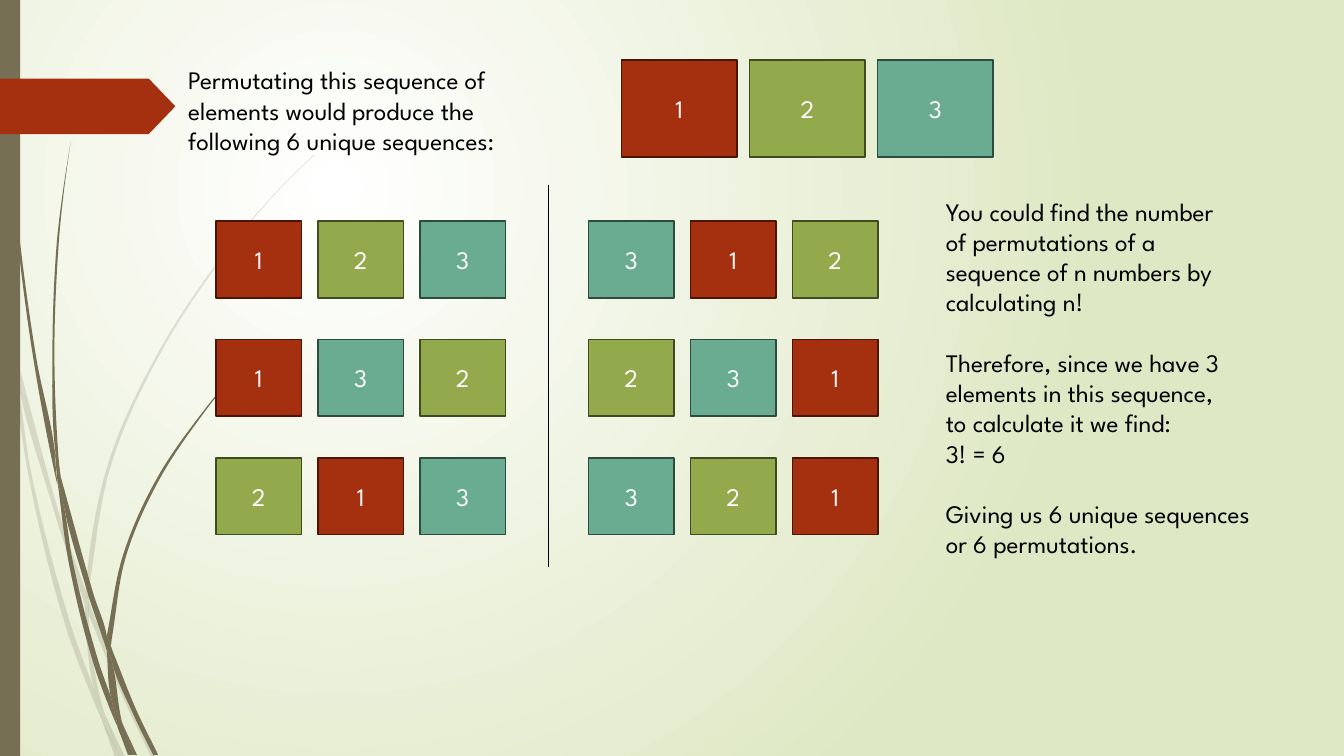
from math import hypot
from lxml.etree import SubElement
from pptx import Presentation
from pptx.dml.color import RGBColor
from pptx.enum.shapes import MSO_CONNECTOR, MSO_SHAPE
from pptx.enum.text import MSO_ANCHOR, PP_ALIGN
from pptx.oxml.ns import qn
from pptx.util import Cm, Pt

FONT = "League Spartan"
COLORS = {"white": "FFFFFF", "black": "000000", "meadow": "DFE8C4",
          "stem": "766F54", "red": "A53010", "red_edge": "481507",
          "green": "92AA4C", "green_edge": "404B21",
          "teal": "6AAC91", "teal_edge": "2E4B40"}
TILE_COLORS = {1: "red", 2: "green", 3: "teal"}

# Outlines of the grass blades, on a grid of 100 units to 2.54 cm.
GRID = 2.54 / 100
PALE_BLADES = [
    [(11, 350), (9, 322), (0, 282), (0, 299), (10, 344)],
    [(58, 522), (84, 599), (85, 586), (62, 520), (14, 345), (17, 376)],
    [(92, 607), (88, 596), (88, 610), (123, 694), (150, 751), (155, 751), (127, 692)],
    [(119, 751), (124, 751), (105, 711)],
    [(93, 683), (70, 619), (31, 469), (17, 376), (11, 350), (28, 470), (65, 621),
     (92, 693), (101, 714), (99, 707)],
    [(84, 599), (87, 646), (93, 683), (96, 692), (105, 711), (103, 706), (91, 646),
     (88, 610), (88, 608)],
    [(88, 584), (110, 462), (160, 349), (229, 245), (268, 198), (290, 175), (312, 154),
     (312, 153), (289, 175), (268, 197), (228, 244), (158, 348), (107, 461), (85, 584),
     (85, 586), (88, 596)],
    [(101, 714), (114, 751), (119, 751)],
    [(88, 608), (88, 610), (88, 596), (85, 586), (84, 599)],
    [(96, 692), (93, 683), (99, 707), (101, 714), (119, 751), (105, 711)],
]
DARK_BLADES = [
    [(7, 110), (17, 233), (33, 355), (56, 477), (57, 481), (55, 457), (55, 453), (36, 355),
     (19, 232), (8, 109), (5, 48), (4, 0), (3, 0), (4, 48)],
    [(88, 592), (106, 645), (106, 633), (106, 631), (93, 590), (60, 472), (64, 505)],
    [(113, 649), (110, 641), (111, 656), (132, 708), (152, 749), (157, 749), (136, 706)],
    [(110, 691), (98, 657), (72, 556), (64, 505), (57, 477), (68, 557), (93, 659),
     (111, 708), (117, 722), (116, 717)],
    [(60, 472), (58, 453), (54, 349), (58, 245), (63, 193), (70, 141), (62, 193),
     (56, 245), (52, 349), (55, 449)],
    [(133, 749), (136, 749), (122, 719)],
    [(57, 477), (64, 505), (60, 472), (55, 449), (55, 453)],
    [(111, 633), (125, 552), (158, 476), (205, 406), (231, 374), (245, 359), (261, 344),
     (260, 344), (245, 358), (231, 373), (204, 405), (156, 474), (122, 551), (106, 631),
     (110, 641)],
    [(117, 722), (127, 749), (131, 749)],
    [(106, 645), (110, 691), (116, 706), (122, 719), (121, 716), (111, 656), (109, 651)],
    [(106, 645), (109, 651), (111, 656), (110, 641), (106, 631), (106, 633)],
    [(116, 706), (110, 691), (116, 717), (117, 722), (130, 749), (133, 749), (122, 719)],
]


def color(name):
    """Return the named colour."""
    return RGBColor.from_string(COLORS[name])


def write(paragraph, text, size=18, ink="black", align=PP_ALIGN.LEFT, before=0):
    """Put formatted text into a paragraph."""
    paragraph.alignment = align
    paragraph.space_before = Pt(before)
    run = paragraph.add_run()
    run.text = text
    run.font.name, run.font.size = FONT, Pt(size)
    run.font.color.rgb = color(ink)


def paint(shape, fill, edge=None):
    """Give a shape a plain fill and an optional outline, without shadow."""
    shape.shadow.inherit = False
    shape.fill.solid()
    shape.fill.fore_color.rgb = color(fill)
    if edge:
        shape.line.color.rgb = color(edge)
        shape.line.width = Pt(1.25)
    else:
        shape.line.fill.background()


def place(shape, box):
    """Move a placeholder to a box given in centimetres."""
    shape.left, shape.top, shape.width, shape.height = map(Cm, box)
    shape.text_frame.word_wrap = True


def add_box(slide, preset, box, fill, edge=None):
    """Add a painted preset shape in a box given in centimetres."""
    shape = slide.shapes.add_shape(preset, *map(Cm, box))
    paint(shape, fill, edge)
    return shape


def direction(start, end):
    """Return the unit vector from start to end."""
    dx, dy = end[0] - start[0], end[1] - start[1]
    length = hypot(dx, dy) or 1
    return dx / length, dy / length


def bend(shape):
    """Turn the straight edges of a freeform into curves, keeping sharp corners."""
    outline = shape.element.find(".//" + qn("a:path"))
    points = [(int(pt.get("x")), int(pt.get("y"))) for pt in outline.iter(qn("a:pt"))]
    count = len(points)

    def tangent(index, edge):
        before = direction(points[index - 1], points[index])
        after = direction(points[index], points[(index + 1) % count])
        is_smooth = before[0] * after[0] + before[1] * after[1] > 0.94
        return direction((0, 0), (before[0] + after[0], before[1] + after[1])) if is_smooth else edge

    for index, segment in enumerate(outline.findall(qn("a:lnTo"))):
        start, end = points[index], points[index + 1]
        edge = direction(start, end)
        third = hypot(end[0] - start[0], end[1] - start[1]) / 3
        controls = [(point[0] + sign * third * slope[0], point[1] + sign * third * slope[1])
                    for point, sign, slope in ((start, 1, tangent(index, edge)),
                                               (end, -1, tangent(index + 1, edge)))]
        segment.tag = qn("a:cubicBezTo")
        for position, (x, y) in enumerate(controls):
            pt = SubElement(segment, qn("a:pt"), x=str(round(x)), y=str(round(y)))
            segment.insert(position, pt)


def add_blade(slide, origin, points, transparent):
    """Draw one piece of grass relative to the origin."""
    outline = [(Cm(origin[0] + x * GRID), Cm(origin[1] + y * GRID)) for x, y in points]
    builder = slide.shapes.build_freeform(*outline[0])
    builder.add_line_segments(outline[1:] + outline[:1], close=True)
    shape = builder.convert_to_shape()
    paint(shape, "stem")
    if transparent:
        SubElement(shape.element.find(".//" + qn("a:srgbClr")), qn("a:alpha"), val="20000")
    return shape


def add_backdrop(slide, box):
    """Set the radial background and draw grass, side bar and arrow tag."""
    left, top, _, height = box
    fill = slide.background.fill
    fill.gradient()
    for stop, name in zip(fill.gradient_stops, ("white", "meadow")):
        stop.color.rgb = color(name)
    gradient = slide.element.find(".//" + qn("a:gradFill"))
    gradient.remove(gradient.find(qn("a:lin")))
    circle = SubElement(gradient, qn("a:path"), path="circle")
    SubElement(circle, qn("a:fillToRect"), l="50000", t="50000", r="100000", b="100000")
    for blades, transparent in ((PALE_BLADES, True), (DARK_BLADES, False)):
        for points in blades:
            bend(add_blade(slide, (left, top), points, transparent))
    add_box(slide, MSO_SHAPE.RECTANGLE, (left, top, 0.51, height), "stem")
    tag = add_box(slide, MSO_SHAPE.PENTAGON, (left, top + 1.98, 4.42, 1.4), "red")
    tag.adjustments[0] = 0.48


def add_tile_row(slide, box, digits, gap):
    """Fill a box with one row of equally spaced numbered tiles."""
    left, top, width, height = box
    tile_width = (width - gap * (len(digits) - 1)) / len(digits)
    for index, digit in enumerate(digits):
        name = TILE_COLORS[digit]
        tile_box = (left + index * (tile_width + gap), top, tile_width, height)
        tile = add_box(slide, MSO_SHAPE.RECTANGLE, tile_box, name, name + "_edge")
        tile.text_frame.vertical_anchor = MSO_ANCHOR.MIDDLE
        write(tile.text_frame.paragraphs[0], str(digit), ink="white", align=PP_ALIGN.CENTER)


def add_sequences(slide, box, sequences, gap=0.41, row_gap=1.05):
    """Stack tile rows evenly in a box."""
    left, top, width, height = box
    row_height = (height - row_gap * (len(sequences) - 1)) / len(sequences)
    for index, digits in enumerate(sequences):
        row_top = top + index * (row_height + row_gap)
        add_tile_row(slide, (left, row_top, width, row_height), digits, gap)


def add_divider(slide, x, top, bottom):
    """Draw the vertical line between the two columns."""
    line = slide.shapes.add_connector(MSO_CONNECTOR.STRAIGHT, Cm(x), Cm(top), Cm(x), Cm(bottom))
    line.line.color.rgb = color("black")
    line.line.width = Pt(0.75)
    SubElement(line.element.spPr, qn("a:effectLst"))


def add_heading(slide, box, text):
    """Fill the title placeholder."""
    title = slide.shapes.title
    place(title, box)
    title.text_frame.vertical_anchor = MSO_ANCHOR.TOP
    write(title.text_frame.paragraphs[0], text)


def add_explanation(slide, box, blocks):
    """Fill the body placeholder with blocks of lines set apart by spacing."""
    body = slide.placeholders[1]
    place(body, box)
    body.text_frame.vertical_anchor = MSO_ANCHOR.TOP
    for block_index, block in enumerate(blocks):
        for line_index, line in enumerate(block):
            first = block_index == line_index == 0
            paragraph = body.text_frame.paragraphs[0] if first else body.text_frame.add_paragraph()
            write(paragraph, line, before=21.6 if block_index and not line_index else 0)
            properties = paragraph._p.get_or_add_pPr()
            properties.set("marL", "0")
            properties.set("indent", "0")
            SubElement(properties, qn("a:buNone"))


presentation = Presentation()
presentation.slide_width, presentation.slide_height = Cm(33.87), Cm(19.05)
slide = presentation.slides.add_slide(presentation.slide_layouts[1])
add_backdrop(slide, (0, 0, 33.87, 19.05))
add_heading(slide, (4.49, 1.5, 10.13, 2.57),
            "Permutating this sequence of elements would produce the following 6 unique sequences:")
add_tile_row(slide, (15.66, 1.51, 9.37, 2.44), (1, 2, 3), gap=0.31)
add_sequences(slide, (5.44, 5.57, 7.3, 7.9), [(1, 2, 3), (1, 3, 2), (2, 1, 3)])
add_divider(slide, 13.82, 4.65, 14.3)
add_sequences(slide, (14.83, 5.57, 7.3, 7.9), [(3, 1, 2), (2, 3, 1), (3, 2, 1)])
add_explanation(slide, (23.58, 4.81, 9.96, 9.5), [
    ["You could find the number", "of permutations of a",
     "sequence of n numbers by", "calculating n!"],
    ["Therefore, since we have 3", "elements in this sequence,",
     "to calculate it we find:", "3! = 6"],
    ["Giving us 6 unique sequences", "or 6 permutations."]])
presentation.save("out.pptx")
